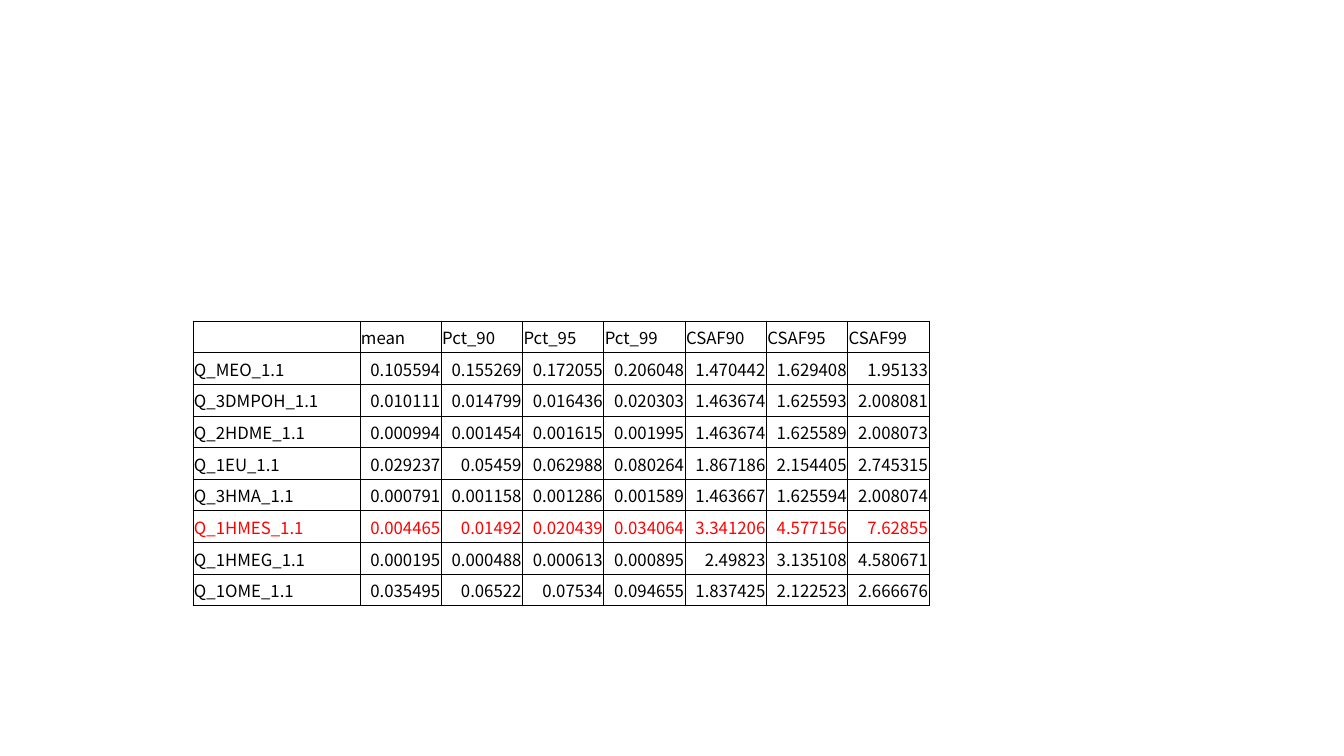
"""Build a slide with one table of means, percentiles and adjustment factors."""
from lxml import etree
from pptx import Presentation
from pptx.dml.color import RGBColor
from pptx.enum.text import MSO_ANCHOR, PP_ALIGN
from pptx.oxml import parse_xml
from pptx.oxml.ns import nsdecls, qn
from pptx.util import Emu, Pt

MIDDLE = MSO_ANCHOR.MIDDLE
LEFT, RIGHT = PP_ALIGN.LEFT, PP_ALIGN.RIGHT

THEME = {
    "font": "Noto Sans CJK TC",
    "size": Pt(12),
    "text": RGBColor.from_string("000000"),
    "highlight": RGBColor.from_string("FF0000"),
    "border": "000000",
    "border_width": Pt(0.5),
}
ROWS = [
    ["", "mean", "Pct_90", "Pct_95", "Pct_99", "CSAF90", "CSAF95", "CSAF99"],
    ["Q_MEO_1.1", "0.105594", "0.155269", "0.172055", "0.206048", "1.470442", "1.629408", "1.95133"],
    ["Q_3DMPOH_1.1", "0.010111", "0.014799", "0.016436", "0.020303", "1.463674", "1.625593", "2.008081"],
    ["Q_2HDME_1.1", "0.000994", "0.001454", "0.001615", "0.001995", "1.463674", "1.625589", "2.008073"],
    ["Q_1EU_1.1", "0.029237", "0.05459", "0.062988", "0.080264", "1.867186", "2.154405", "2.745315"],
    ["Q_3HMA_1.1", "0.000791", "0.001158", "0.001286", "0.001589", "1.463667", "1.625594", "2.008074"],
    ["Q_1HMES_1.1", "0.004465", "0.01492", "0.020439", "0.034064", "3.341206", "4.577156", "7.62855"],
    ["Q_1HMEG_1.1", "0.000195", "0.000488", "0.000613", "0.000895", "2.49823", "3.135108", "4.580671"],
    ["Q_1OME_1.1", "0.035495", "0.06522", "0.07534", "0.094655", "1.837425", "2.122523", "2.666676"],
]
HIGHLIGHTED = "Q_1HMES_1.1"
LABEL_WIDTH, VALUES_WIDTH, TABLE_HEIGHT = 167, 569, 285


def px(length):
    """Turn slide pixels into EMU."""
    return Emu(round(length * 914400 / 100.8))


deck = Presentation()
deck.slide_width, deck.slide_height = px(1344), px(756)
page = deck.slides.add_slide(deck.slide_layouts[6])

column_count = len(ROWS[0])
table = page.shapes.add_table(
    len(ROWS), column_count, px(193), px(321), px(LABEL_WIDTH + VALUES_WIDTH), px(TABLE_HEIGHT)
).table
table.first_row = table.horz_banding = False
for column in table.columns:
    column.width = px(VALUES_WIDTH / (column_count - 1))
table.columns[0].width = px(LABEL_WIDTH)
for row in table.rows:
    row.height = px(TABLE_HEIGHT / len(ROWS))

cell_format = {
    "vertical_anchor": MIDDLE,
    "margin_left": px(1),
    "margin_right": px(1),
    "margin_top": px(1),
    "margin_bottom": px(0),
}
for row_index, values in enumerate(ROWS):
    color = THEME["highlight"] if values[0] == HIGHLIGHTED else THEME["text"]
    for column_index, value in enumerate(values):
        cell = table.cell(row_index, column_index)
        for name, setting in cell_format.items():
            setattr(cell, name, setting)
        properties = cell._tc.get_or_add_tcPr()
        for side in ("lnL", "lnR", "lnT", "lnB"):
            properties.append(parse_xml(
                f'<a:{side} {nsdecls("a")} w="{THEME["border_width"]}"><a:solidFill>'
                f'<a:srgbClr val="{THEME["border"]}"/></a:solidFill></a:{side}>'
            ))
        cell.fill.background()
        para = cell.text_frame.paragraphs[0]
        para.alignment = RIGHT if row_index and column_index else LEFT
        if value:
            span = para.add_run()
            span.text = value
            for name in ("size", "name"):
                setattr(span.font, name, THEME["font" if name == "name" else name])
            span.font.color.rgb = color
        else:
            ending = etree.SubElement(para._p, qn("a:endParaRPr"))
            ending.set("sz", str(round(THEME["size"].pt * 100)))

deck.save("out.pptx")
